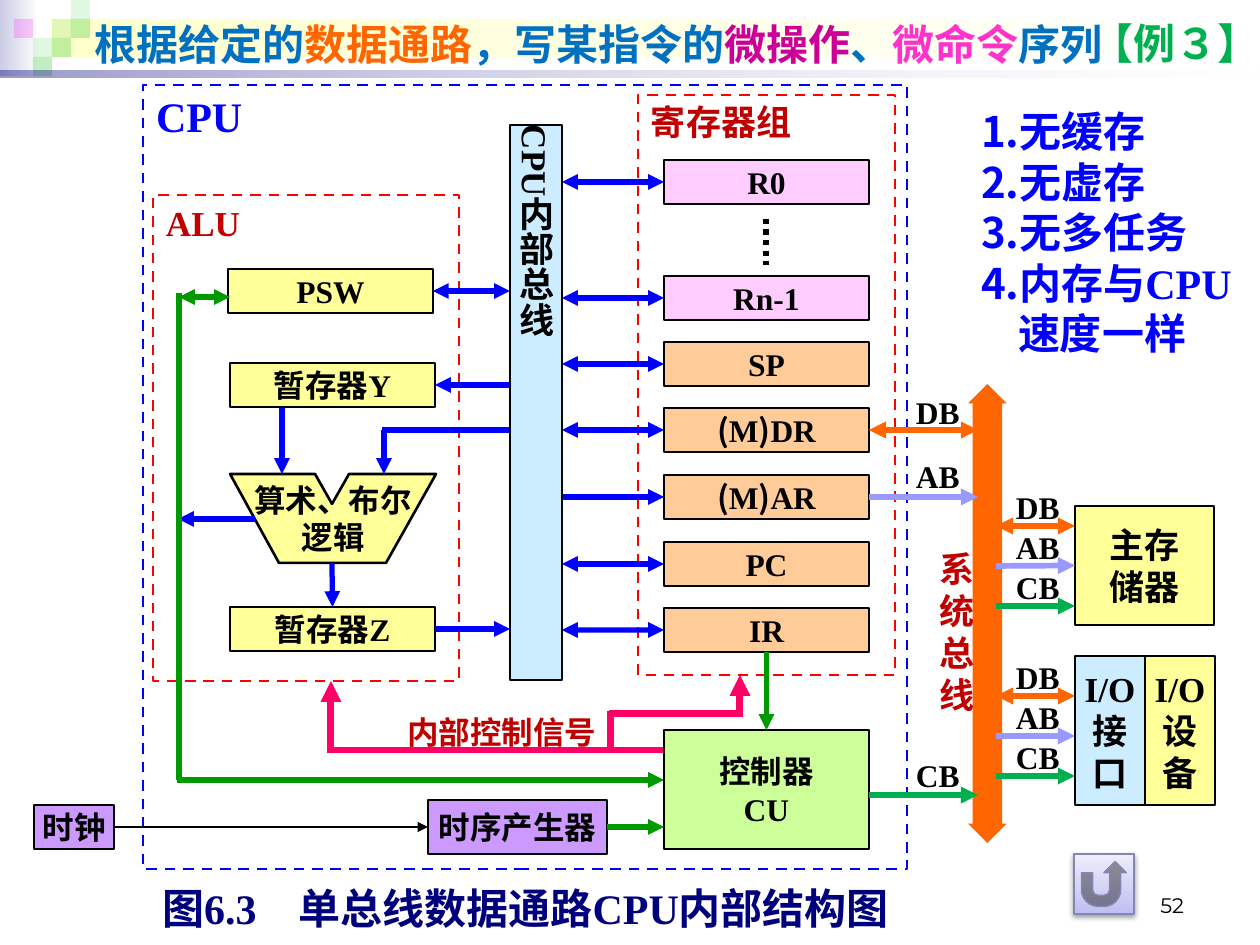
from typing import NamedTuple

from lxml import etree
from pptx import Presentation
from pptx import util as u
from pptx.dml.color import RGBColor
from pptx.enum import dml, shapes, text
from pptx.oxml import ns

SCALE = 914400 / 126
SERIF, SANS, NUMERIC = "Times New Roman", "Noto Sans CJK SC", "Montserrat"
BLACK, WHITE = RGBColor(0, 0, 0), RGBColor(255, 255, 255)
BLUE, RED, DARK_RED = RGBColor(0, 0, 255), RGBColor(255, 0, 0), RGBColor(0xC0, 0, 0)
NAVY, TITLE_BLUE = RGBColor(0, 0, 0x7D), RGBColor(0, 0x70, 0xC0)
ORANGE, LILAC, EMERALD = RGBColor(255, 0x66, 0), RGBColor(0x99, 0x99, 255), RGBColor(0, 0xB0, 0x50)
GREEN, PINK = RGBColor(0, 0x99, 0), RGBColor(255, 0, 0x66)
MAGENTA, ROSE = RGBColor(0xCC, 0, 0x99), RGBColor(255, 0x33, 0xCC)
YELLOW, SKY, PEACH = RGBColor(255, 255, 0x99), RGBColor(0xCC, 0xEC, 255), RGBColor(255, 0xCC, 0x99)
LIGHT_PINK, PURPLE, LIME = RGBColor(255, 0xCC, 255), RGBColor(0xCC, 0x99, 255), RGBColor(0xCC, 255, 0x99)
CREAM, HAZE = RGBColor(255, 255, 0xCC), RGBColor(0xCC, 0xCC, 0xE6)
TILE_GREEN, TILE_PINK = RGBColor(0x33, 0xCC, 0x33), RGBColor(255, 0, 255)
BUTTON_DARK, BUTTON_LIGHT, BUTTON_LINE = RGBColor(0xBF, 0xBF, 0xF0), RGBColor(0xED, 0xED, 0xFB), RGBColor(0x86, 0x86, 0xB6)
KIND, ALIGN, ANCHOR = shapes.MSO_SHAPE, text.PP_ALIGN, text.MSO_ANCHOR
DASH = dml.MSO_LINE.DASH


class Box(NamedTuple):
    left: int
    top: int
    width: int
    height: int

    def inside(self, x, y, width, height):
        return Box(self.left + x, self.top + y, width, height)

    def point(self, x, y):
        return self.left + x, self.top + y


def px(value):
    return int(value * SCALE)


def add_xml(parent, tag, **attributes):
    return etree.SubElement(parent, ns.qn(tag), {key: str(value) for key, value in attributes.items()})


def set_alpha(color, percent):
    add_xml(color, "a:alpha", val=percent * 1000)


def style(shape, fill=None, line=None, width=1.5, dash=None, angle=0):
    shape.shadow.inherit = False
    if isinstance(fill, tuple) and not isinstance(fill, RGBColor):
        shape.fill.gradient()
        shape.fill.gradient_angle = angle
        for stop, color in zip(shape.fill.gradient_stops, fill):
            stop.color.rgb = color
    elif fill is not None:
        shape.fill.solid()
        shape.fill.fore_color.rgb = fill
    else:
        shape.fill.background()
    if line is None:
        shape.line.fill.background()
    else:
        shape.line.color.rgb = line
        shape.line.width = u.Pt(width)
        shape.line.dash_style = dash
    return shape


def block(slide, box, fill=None, line=BLACK, kind=KIND.RECTANGLE, **options):
    return style(slide.shapes.add_shape(kind, *map(px, box)), fill, line, **options)


def write(shape, content, size=18, color=BLACK, bold=True, font=SERIF, align=ALIGN.CENTER,
          anchor=ANCHOR.MIDDLE, inset=(0, 0), wrap=True, numbered=False):
    frame = shape.text_frame
    frame.word_wrap = wrap
    frame.vertical_anchor = anchor
    frame.margin_left = frame.margin_right = px(inset[0])
    frame.margin_top = frame.margin_bottom = px(inset[1])
    lines = content.split("\n") if isinstance(content, str) else [content]
    for index, line in enumerate(lines):
        paragraph = frame.add_paragraph() if index else frame.paragraphs[0]
        paragraph.alignment = align
        paragraph.line_spacing = u.Pt(round(size * 1.2, 1))
        if numbered:
            properties = paragraph._p.get_or_add_pPr()
            properties.set("marL", str(px(37)))
            properties.set("indent", str(px(-37)))
            add_xml(properties, "a:buFont", typeface=SANS)
            add_xml(properties, "a:buAutoNum", type="arabicPeriod")
        runs = [(line, color, font)] if isinstance(line, str) else line
        for words, run_color, run_font in runs:
            run = paragraph.add_run()
            run.text = words
            run.font.size, run.font.bold, run.font.name = u.Pt(size), bold, run_font
            run.font.color.rgb = run_color
            add_xml(run._r.get_or_add_rPr(), "a:ea", typeface=SANS)
    return shape


def label(slide, box, content, **options):
    return write(slide.shapes.add_textbox(*map(px, box)), content, **options)


def wire(slide, begin, end, color=BLUE, width=3, arrows="", dash=None):
    glued = [isinstance(place[0], int) for place in (begin, end)]
    start = begin if glued[0] else (0, 0)
    finish = end if glued[1] else (0, 0)
    connector = slide.shapes.add_connector(shapes.MSO_CONNECTOR.STRAIGHT, *map(px, start + finish))
    if not glued[0]:
        connector.begin_connect(*begin)
    if not glued[1]:
        connector.end_connect(*end)
    connector.line.color.rgb = color
    connector.line.width = u.Pt(width)
    connector.line.dash_style = dash
    line = connector.line._get_or_add_ln()
    if arrows == "both":
        add_xml(line, "a:headEnd", type="triangle")
    if arrows:
        add_xml(line, "a:tailEnd", type="triangle")
    add_xml(connector._element.spPr, "a:effectLst")


def frame(slide, box, title, color, title_color, size):
    shape = block(slide, box, line=color, dash=DASH)
    write(shape, title, size=size, color=title_color, align=ALIGN.LEFT, anchor=ANCHOR.TOP, inset=(13, 6))


def heading(slide, box):
    block(slide, box.inside(0, 0, 39, 76), (HAZE, WHITE), None)
    block(slide, box.inside(52, 19, 1203, 38), (CREAM, WHITE), None)
    tiles = [(52, 19, TILE_GREEN, 15), (71, 0, TILE_GREEN, 15), (71, 19, TILE_GREEN, 30), (33, 38, TILE_GREEN, 15),
             (14, 19, TILE_PINK, 20), (52, 38, TILE_GREEN, 30), (33, 57, TILE_GREEN, 30)]
    for x, y, color, percent in tiles:
        tile = block(slide, box.inside(x, y, 19, 19), color, None)
        set_alpha(tile._element.spPr.find(".//" + ns.qn("a:srgbClr")), percent)
    rule = block(slide, box.inside(0, 71, 1260, 7), (NAVY, WHITE), None)
    for color, percent in zip(rule._element.spPr.iter(ns.qn("a:srgbClr")), (40, 10)):
        set_alpha(color, percent)
    words = [("根据给定的", TITLE_BLUE), ("数据通路", ORANGE), ("，写某指令的", TITLE_BLUE), ("微操作", MAGENTA),
             ("、", TITLE_BLUE), ("微命令", ROSE), ("序列", TITLE_BLUE)]
    label(slide, box.inside(82, 8, 1134, 72), [(*part, SANS) for part in words],
          size=24, align=ALIGN.LEFT, inset=(13, 6))
    label(slide, box.inside(1090, 18, 170, 50), "【例３】", size=24, color=EMERALD, font=SANS,
          align=ALIGN.RIGHT, wrap=False)


def register_group(slide, box):
    frame(slide, box, "寄存器组", RED, DARK_RED, 20)
    tops = {"R0": 65, "Rn-1": 181, "SP": 247, "DR": 313, "AR": 380, "PC": 447, "IR": 513}
    registers = {}
    for name, top in tops.items():
        content = name
        if name in ("DR", "AR"):
            content = [("(", BLACK, SANS), ("M", BLACK, SERIF), (")", BLACK, SANS), (name, BLACK, SERIF)]
        fill = LIGHT_PINK if name.startswith("R") else PEACH
        register = write(block(slide, box.inside(26, top, 205, 44), fill), content)
        registers[name] = register
        bus_side = box.point(-76, top + 22)
        if name == "AR":
            wire(slide, bus_side, (register, 1), arrows="end")
        else:
            wire(slide, (register, 1), bus_side, arrows="both")
    wire(slide, box.point(128, 124), box.point(128, 170), BLACK, dash=dml.MSO_LINE.ROUND_DOT)
    return registers


def arithmetic_unit(slide, box):
    frame(slide, box, "ALU", RED, DARK_RED, 20)
    status, operand, result = [
        write(block(slide, box.inside(x, y, 205, 44), YELLOW), name)
        for name, x, y in (("PSW", 75, 74), ("暂存器Y", 77, 168), ("暂存器Z", 77, 412))]
    corners = [(77, 279), (162, 279), (179, 309), (196, 279), (283, 279), (233, 368), (126, 368)]
    outline = [box.point(*corner) for corner in corners]
    builder = slide.shapes.build_freeform(*outline[0], scale=SCALE)
    builder.add_line_segments(outline[1:], close=True)
    write(style(builder.convert_to_shape(), YELLOW, BLACK), "算术、布尔\n逻辑")
    wire(slide, box.point(26, 102), box.point(77, 102), GREEN, arrows="both")
    wire(slide, (status, 3), box.point(357, 96), arrows="both")
    wire(slide, box.point(357, 190), (operand, 3), arrows="end")
    wire(slide, (result, 3), box.point(357, 434), arrows="end")
    wire(slide, box.point(179, 368), (result, 0), arrows="end")
    wire(slide, box.point(357, 235), box.point(229, 235))
    for begin, end in (((129, 213), (129, 279)), ((231, 235), (231, 279)), ((102, 324), (25, 324))):
        wire(slide, box.point(*begin), box.point(*end), arrows="end")


def control_unit(slide, box, instruction_register):
    label(slide, box.inside(264, 628, 193, 38), "内部控制信号", color=DARK_RED, align=ALIGN.LEFT, wrap=False)
    signals = [(521, 665, 184, 665, ""), (188, 665, 188, 596, "end"), (468, 665, 468, 626, ""),
               (466, 629, 600, 629, ""), (597, 632, 597, 590, "end")]
    for x1, y1, x2, y2, arrows in signals:
        wire(slide, box.point(x1, y1), box.point(x2, y2), PINK, 4, arrows)
    wire(slide, box.point(36, 208), box.point(36, 695), GREEN)
    wire(slide, box.point(34, 695), box.point(521, 695), GREEN, arrows="end")
    controller = write(block(slide, box.inside(521, 645, 205, 119), LIME), "控制器\nCU")
    clock = write(block(slide, box.inside(-109, 720, 80, 44), PURPLE), "时钟", wrap=False)
    sequencer = write(block(slide, box.inside(285, 715, 179, 54), PURPLE), "时序产生器", wrap=False)
    wire(slide, (instruction_register, 2), (controller, 0), GREEN, arrows="end")
    wire(slide, (clock, 3), (sequencer, 1), BLACK, 1.5, "end")
    wire(slide, (sequencer, 3), box.point(521, 742), GREEN, arrows="end")


def system_bus(slide, box, registers):
    arrow = block(slide, box, ORANGE, None, KIND.UP_DOWN_ARROW)
    arrow.adjustments[0], arrow.adjustments[1] = 0.5, 0.76
    label(slide, box.inside(-41, 157, 59, 183), "系\n统\n总\n线", size=20, color=DARK_RED,
          anchor=ANCHOR.TOP, inset=(13, 6))
    links = [("DB", 9, (registers["DR"], 3), 46, ORANGE, "both"), ("AB", 73, (registers["AR"], 3), 113, LILAC, "end"),
             ("CB", 372, box.point(-99, 411), 411, EMERALD, "end")]
    for name, top, begin, y, color, arrows in links:
        label(slide, box.inside(-52, top, 52, 44), name, align=ALIGN.LEFT, anchor=ANCHOR.TOP)
        wire(slide, begin, box.point(10, y), color, 3.25, arrows)


def device_links(slide, box, memory=None):
    for index, (name, color) in enumerate((("DB", ORANGE), ("AB", LILAC), ("CB", EMERALD))):
        y = 40 * index
        end = (memory, 1) if memory is not None and name == "AB" else box.point(box.width, y)
        wire(slide, box.point(0, y), end, color, 3.25, "end" if index else "both")
        label(slide, box.inside(20, y - 38, 52, 44), name, align=ALIGN.LEFT, anchor=ANCHOR.TOP)


def devices(slide, box):
    memory = write(block(slide, box.inside(79, 0, 139, 119), YELLOW), "主存\n储器", size=20)
    device_links(slide, box.inside(0, 20, 79, 80), memory)
    device_links(slide, box.inside(0, 190, 79, 80))
    for x, fill, content in ((79, SKY, "I/O\n接\n口"), (149, YELLOW, "I/O\n设\n备")):
        write(block(slide, box.inside(x, 150, 70, 149), fill), content, size=20, wrap=False)


def internal_bus(slide, box):
    bus = write(block(slide, box, SKY), "CPU内部总线", size=20, align=ALIGN.LEFT)
    bus.text_frame._txBody.bodyPr.set("vert", "eaVert")


def footer(slide, box):
    label(slide, box.inside(0, 3, 843, 50), "图6.3　单总线数据通路CPU内部结构图", size=24, color=NAVY)
    label(slide, box.inside(798, 0, 295, 44), "52", size=12, bold=False, font=NUMERIC,
          align=ALIGN.RIGHT, anchor=ANCHOR.BOTTOM, inset=(13, 6))
    button = block(slide, box.inside(970, -26, 60, 60), (BUTTON_DARK, BUTTON_LIGHT), BUTTON_LINE,
                   KIND.ACTION_BUTTON_RETURN, width=0.75, angle=90)
    effects = button._element.spPr.find(ns.qn("a:effectLst"))
    shadow = add_xml(effects, "a:outerShdw", blurRad=u.Pt(3.1), dist=u.Pt(1.6), dir=5400000, rotWithShape=0)
    set_alpha(add_xml(shadow, "a:srgbClr", val=BLACK), 38)


def main():
    presentation = Presentation()
    presentation.slide_width, presentation.slide_height = px(1260), px(945)
    slide = presentation.slides.add_slide(presentation.slide_layouts[6])
    processor = Box(143, 85, 764, 784)
    heading(slide, Box(0, 0, 1260, 78))
    frame(slide, processor, "CPU", BLUE, BLUE, 24)
    registers = register_group(slide, processor.inside(495, 10, 257, 580))
    arithmetic_unit(slide, processor.inside(10, 110, 306, 486))
    control_unit(slide, processor, registers["IR"])
    system_bus(slide, Box(968, 384, 39, 459), registers)
    devices(slide, Box(996, 506, 218, 299))
    internal_bus(slide, processor.inside(367, 40, 52, 555))
    label(slide, Box(968, 100, 284, 267), "无缓存\n无虚存\n无多任务\n内存与CPU速度一样", size=24, color=BLUE,
          align=ALIGN.LEFT, anchor=ANCHOR.TOP, inset=(13, 6), numbered=True)
    footer(slide, Box(104, 880, 1093, 50))
    presentation.save("out.pptx")


if __name__ == "__main__":
    main()
